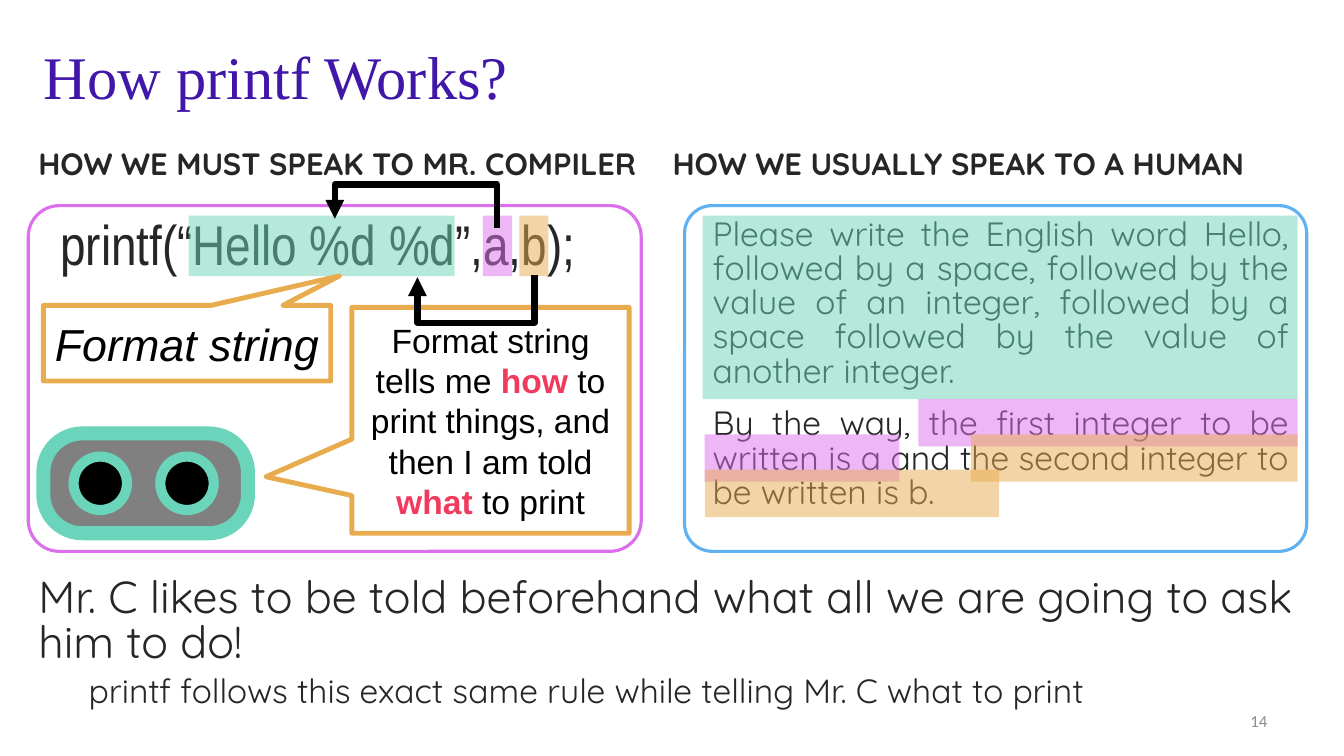
from lxml import etree
from pptx import Presentation
from pptx.dml.color import RGBColor
from pptx.enum import shapes, text
from pptx.oxml import ns
from pptx.util import Inches, Pt

TEAL, PINK, AMBER, BLUE = "6AD5BB", "DC6FEC", "E8AB4E", "60B1F2"
INK, BLACK, WHITE, RED = "262626", "000000", "FFFFFF", "F03B5E"
KIND, ALIGN, ANCHOR = shapes.MSO_SHAPE, text.PP_ALIGN, text.MSO_ANCHOR


def colour(target, value):
    """Apply a hex colour to a font or a fill."""
    if hasattr(target, "solid"):
        target.solid()
        target.fore_color.rgb = RGBColor.from_string(value)
    else:
        target.color.rgb = RGBColor.from_string(value)


def add_xml(parent, tag, **attributes):
    """Append a DrawingML element and return it."""
    return etree.SubElement(parent, ns.qn(tag), attributes)


def place(part, x, y, w, h):
    """Move and size a part, in inches."""
    part.left, part.top, part.width, part.height = map(Inches, (x, y, w, h))


def write(part, lines, font, size, ink, align=ALIGN.LEFT, anchor=ANCHOR.MIDDLE,
          bold=False, italic=False, spacing=None, before=0):
    """Fill a part with paragraphs in one style."""
    frame = part.text_frame
    frame.text = "\n".join(lines)
    frame.word_wrap = True
    frame.auto_size = text.MSO_AUTO_SIZE.NONE
    frame.vertical_anchor = anchor
    for paragraph in frame.paragraphs:
        paragraph.alignment = align
        paragraph.line_spacing = spacing
        paragraph.space_before = Pt(before)
        for run in paragraph.runs:
            run.font.name, run.font.size = font, Pt(size)
            run.font.bold, run.font.italic = bold, italic
            colour(run.font, ink)
    return frame


def indent(paragraph, left):
    """Drop the bullet and set the left margin."""
    properties = paragraph._p.get_or_add_pPr()
    properties.set("marL", str(Inches(left)))
    properties.set("indent", "0")
    add_xml(properties, "a:buNone")


def draw(parent, kind, box, fill=None, line=None, width=0, adjust=()):
    """Add a preset shape without a shadow."""
    shape = parent.add_shape(kind, *map(Inches, box))
    shape.shadow.inherit = False
    if fill:
        colour(shape.fill, fill)
    else:
        shape.fill.background()
    if line:
        colour(shape.line.fill, line)
        shape.line.width = Pt(width)
    else:
        shape.line.fill.background()
    for position, value in enumerate(adjust):
        shape.adjustments[position] = value
    return shape


def highlight(slide, origin, marks):
    """Lay half-transparent marks at offsets from an origin."""
    left, top = origin
    for x, y, w, h, tint in marks:
        mark = draw(slide.shapes, KIND.RECTANGLE, (left + x, top + y, w, h), tint)
        tint_xml = mark._element.spPr.find(".//" + ns.qn("a:srgbClr"))
        add_xml(tint_xml, "a:alpha", val="50000")


def elbow_arrow(slide, start, end, bend):
    """Draw an arrow that leaves vertically, turns at height bend and returns."""
    (x1, y1), (x2, y2) = start, end
    rise, run = abs(y2 - y1), abs(x2 - x1)
    left, top = (x1 + x2 - rise) / 2, (y1 + y2 - run) / 2
    arrow = slide.shapes.add_connector(
        shapes.MSO_CONNECTOR.ELBOW,
        *map(Inches, (left, top, left + rise, top + run)))
    colour(arrow.line.fill, BLACK)
    arrow.line.width = Pt(4.5)
    properties = arrow._element.spPr
    upward = y2 < y1
    frame = properties.find(ns.qn("a:xfrm"))
    frame.set("rot", str((270 if upward else 90) * 60000))
    if upward:
        frame.set("flipV", "1")
    guides = properties.find(ns.qn("a:prstGeom")).get_or_add_avLst()
    share = round(abs(bend - y1) / rise * 100000)
    add_xml(guides, "a:gd", name="adj1", fmla=f"val {share}")
    add_xml(properties.find(ns.qn("a:ln")), "a:tailEnd", type="triangle")
    add_xml(properties, "a:effectLst")


def panel(slide, box, line, adjust, lines, font, size, align, left):
    """Add a rounded panel with its statement."""
    frame = draw(slide.shapes, KIND.ROUNDED_RECTANGLE, box, None, line, 2.25, [adjust])
    statement = write(frame, lines, font, size, INK, align, ANCHOR.TOP,
                      spacing=0.85, before=13)
    for paragraph in statement.paragraphs:
        indent(paragraph, left)


def robot(slide, x, y):
    """Draw the compiler's face."""
    face = slide.shapes.add_group_shape().shapes
    draw(face, KIND.ROUNDED_RECTANGLE, (x, y, 2.03, 0.99), "808080", TEAL, 10, [0.39])
    for eye in (0.3, 1.16):
        draw(face, KIND.OVAL, (x + eye, y + 0.23, 0.53, 0.53), BLACK, TEAL, 7.25)


def callout(slide, box, tip, words, size, italic=False):
    """Add a speech callout and return its text frame."""
    bubble = draw(slide.shapes, KIND.RECTANGULAR_CALLOUT, box, WHITE, AMBER, 3.5, tip)
    return write(bubble, [words], "Arial", size, BLACK, ALIGN.CENTER, italic=italic)


def compiler_side(slide, box):
    """Build the printf panel with its callouts and arrows."""
    x, y, w, h = box
    panel(slide, box, PINK, 0.09, ["printf(“Hello %d %d”,a,b);"],
          "Arial Narrow", 40, ALIGN.LEFT, 0.13)
    highlight(slide, (x, y + 0.1), [
        (1.59, 0, 2.64, 0.6, TEAL), (4.51, 0, 0.29, 0.6, PINK),
        (4.87, 0, 0.29, 0.6, AMBER)])
    robot(slide, x + 0.15, y + 2.26)
    pieces = ["Format string tells me ", "how ", "to print things, and then I am told ",
              "what ", "to print"]
    speech = callout(slide, (x + 3.21, y + 1.01, 2.75, 2.24), (-0.81, 0.25),
                     pieces[0], 24)
    for piece in pieces[1:]:
        run = speech.paragraphs[0].add_run()
        run.text = piece
        stressed = piece in ("how ", "what ")
        run.font.name, run.font.size, run.font.bold = "Arial", Pt(24), stressed
        colour(run.font, RED if stressed else BLACK)
    callout(slide, (x + 0.15, y + 0.99, 2.85, 0.75), (0.53, -0.89),
            "Format string", 32, italic=True)
    elbow_arrow(slide, (x + 4.65, y + 0.22), (x + 3.04, y + 0.13), y - 0.21)
    elbow_arrow(slide, (x + 5.02, y + 0.69), (x + 3.86, y + 0.71), y + 1.16)


def human_side(slide, box):
    """Build the plain-language panel with its matching marks."""
    x, y, w, h = box
    panel(slide, box, BLUE, 0.08, [
        "Please write the English word Hello, followed by a space, followed by the "
        "value of an integer, followed by a space followed by the value of another "
        "integer.",
        "By the way, the first integer to be written is a and the second integer to "
        "be written is b."], "Quicksand", 24, ALIGN.JUSTIFY, 0.1)
    highlight(slide, (x, y), [
        (0.18, 0.1, 5.9, 1.82, TEAL), (2.32, 1.92, 3.76, 0.47, PINK),
        (0.2, 2.27, 1.93, 0.47, PINK), (2.84, 2.27, 3.24, 0.47, AMBER),
        (0.2, 2.62, 2.92, 0.47, AMBER)])


def heading(part, box, words):
    """Format a column heading placeholder."""
    place(part, *box)
    frame = write(part, [words], "Quicksand", 22, INK, bold=True, spacing=0.85, before=13)
    indent(frame.paragraphs[0], 0)


def takeaway(part, box):
    """Fill the body placeholder with the lesson and its detail."""
    place(part, *box)
    lesson, detail = write(part, [
        "Mr. C likes to be told beforehand what all we are going to ask him to do!",
        "printf follows this exact same rule while telling Mr. C what to print"],
        "Quicksand", 32, INK, spacing=0.85, before=13).paragraphs
    indent(lesson, 0)
    detail.level = 1
    detail.space_before = Pt(6)
    detail.runs[0].font.size = Pt(24)
    indent(detail, 0.5)


def comparison_slide(deck):
    """Build the slide comparing compiler speech with human speech."""
    slide = deck.slides.add_slide(deck.slide_layouts[4])
    parts = {part.placeholder_format.idx: part for part in slide.placeholders}
    place(parts[0], 0.33, 0.33, 12, 0.83)
    write(parts[0], ["How printf Works?"], "Times New Roman", 43.2, "4117A9")
    heading(parts[1], (0.28, 1.25, 6.29, 0.79), "HOW WE MUST SPEAK TO MR. COMPILER")
    heading(parts[3], (6.57, 1.25, 6.39, 0.79), "HOW WE USUALLY SPEAK TO A HUMAN")
    takeaway(parts[2], (0.28, 5.59, 12.69, 1.59))
    parts[4]._element.getparent().remove(parts[4]._element)
    human_side(slide, (6.79, 2.04, 6.17, 3.43))
    compiler_side(slide, (0.28, 2.04, 6.08, 3.43))
    page = slide.shapes.add_textbox(*map(Inches, (9.56, 6.95, 3.11, 0.4)))
    write(page, ["14"], "Calibri", 12, "8C8C8C", ALIGN.RIGHT)


deck = Presentation()
deck.slide_width, deck.slide_height = Inches(13.33), Inches(7.5)
comparison_slide(deck)
deck.save("out.pptx")
